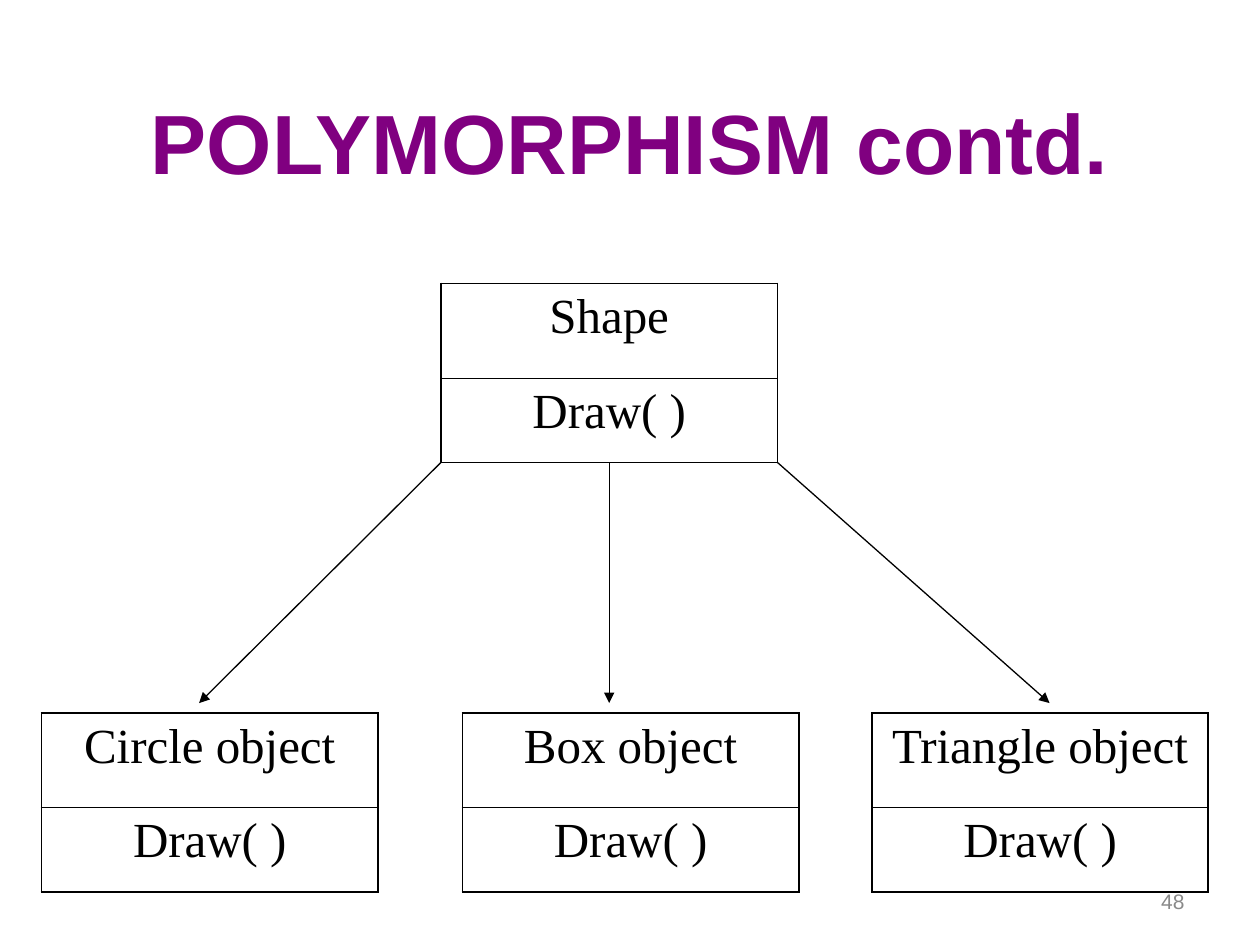
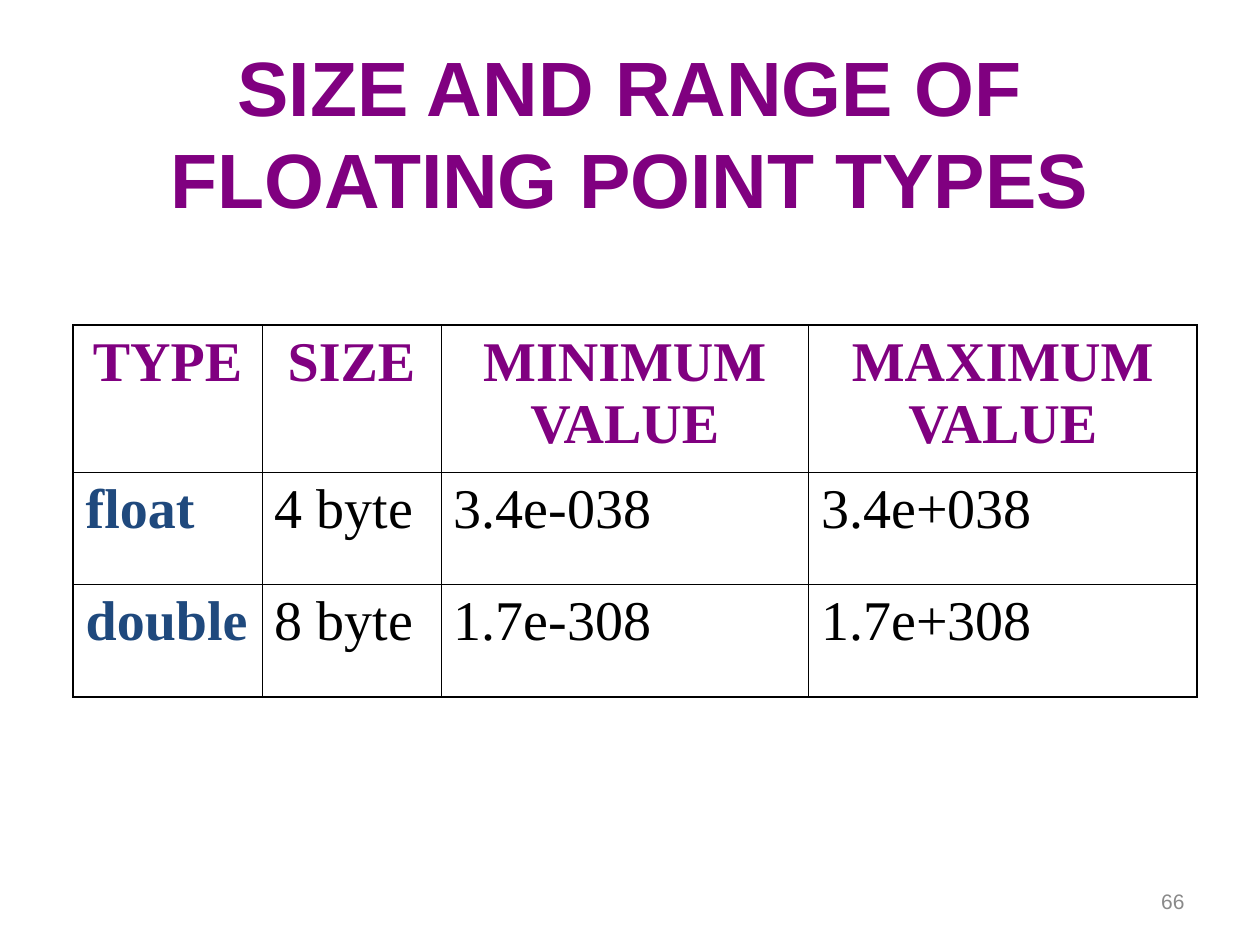
from lxml import etree
from pptx import Presentation
from pptx.dml.color import RGBColor
from pptx.enum.shapes import MSO_CONNECTOR
from pptx.enum.text import MSO_ANCHOR, MSO_AUTO_SIZE, PP_ALIGN
from pptx.oxml.ns import qn
from pptx.util import Inches, Pt

LEFT, CENTER, RIGHT = PP_ALIGN.LEFT, PP_ALIGN.CENTER, PP_ALIGN.RIGHT
MIDDLE = MSO_ANCHOR.MIDDLE
STRAIGHT = MSO_CONNECTOR.STRAIGHT
NO_AUTOFIT = MSO_AUTO_SIZE.NONE

COLORS = {"title": "800080", "text": "000000", "type": "1F497D",
          "number": "898989", "line": "000000"}
SANS, SERIF = "Arial", "Times New Roman"
OUTER_BORDER, INNER_BORDER = 1.08, 0.45
TITLE_ONLY = 5


def write(frame, text, font, size, color, align, bold=False):
    para = frame.paragraphs[0]
    para.alignment = align
    span = para.add_run()
    span.text = text
    span.font.name = font
    span.font.size = Pt(size)
    span.font.bold = bold
    span.font.color.rgb = RGBColor.from_string(COLORS[color])


def add_grid(page, left, top, widths, heights, rows, size, styles):
    holder = page.shapes.add_table(
        len(heights), len(widths), Inches(left), Inches(top),
        Inches(sum(widths)), Inches(sum(heights)))
    table = holder.table
    table.first_row = table.horz_banding = False
    for column, width in zip(table.columns, widths):
        column.width = Inches(width)
    for row, height in zip(table.rows, heights):
        row.height = Inches(height)
    last_row, last_column = len(heights) - 1, len(widths) - 1
    for r, texts in enumerate(rows):
        for c, text in enumerate(texts):
            cell = table.cell(r, c)
            color, align, bold = styles[r][c]
            write(cell.text_frame, text, SERIF, size, color, align, bold)
            properties = cell._tc.get_or_add_tcPr()
            edges = {"lnL": c == 0, "lnR": c == last_column,
                     "lnT": r == 0, "lnB": r == last_row}
            for edge, is_outer in edges.items():
                weight = Pt(OUTER_BORDER if is_outer else INNER_BORDER)
                border = etree.SubElement(properties, qn(f"a:{edge}"), w=str(weight))
                fill = etree.SubElement(border, qn("a:solidFill"))
                etree.SubElement(fill, qn("a:srgbClr"), val=COLORS["line"])
            cell.fill.background()
    return holder


deck = Presentation()
deck.slide_width, deck.slide_height = Inches(10), Inches(7.5)

pages = []
for heading, size, top, height, number in [
    ("POLYMORPHISM contd.", 48, 0.58, 1.08, "48"),
    ("SIZE AND RANGE OF FLOATING POINT TYPES", 44, 0.42, 1.25, "66"),
]:
    page = deck.slides.add_slide(deck.slide_layouts[TITLE_ONLY])
    title = page.shapes.title
    title.left, title.top = Inches(0.75), Inches(top)
    title.width, title.height = Inches(8.5), Inches(height)
    number_box = page.shapes.add_textbox(
        Inches(7.17), Inches(6.95), Inches(2.33), Inches(0.4))
    for box in (title, number_box):
        box.text_frame.word_wrap = True
        box.text_frame.auto_size = NO_AUTOFIT
        box.text_frame.vertical_anchor = MIDDLE
    write(title.text_frame, heading, SANS, size, "title", CENTER, True)
    write(number_box.text_frame, number, SANS, 12, "number", RIGHT)
    pages.append(page)

class_page, type_page = pages

class_width, class_rows = 2.67, [0.75, 0.67]
parent_left, parent_top, child_top = 3.5, 2.25, 5.66
class_tables = {}
for name, left, top in [
    ("Shape", parent_left, parent_top),
    ("Triangle object", 6.92, child_top),
    ("Box object", 3.67, child_top),
    ("Circle object", 0.33, child_top),
]:
    class_tables[name] = add_grid(
        class_page, left, top, [class_width], class_rows,
        [[name], ["Draw( )"]], 28, [[("text", CENTER, False)]] * 2)

parent_bottom = parent_top + sum(class_rows)
parent_middle = parent_left + class_width / 2
arrow_end = 5.58
for start, end in [(parent_middle, parent_middle), (parent_left, 1.58),
                   (parent_left + class_width, 8.33)]:
    arrow = class_page.shapes.add_connector(
        STRAIGHT, Inches(start), Inches(parent_bottom), Inches(end), Inches(arrow_end))
    if start == parent_middle:
        arrow.begin_connect(class_tables["Shape"], 2)
    arrow.line.width = Pt(0.75)
    arrow.line.color.rgb = RGBColor.from_string(COLORS["line"])
    etree.SubElement(arrow.line._get_or_add_ln(), qn("a:tailEnd"), type="triangle")
    etree.SubElement(arrow._element.spPr, qn("a:effectLst"))

header_style = [("title", CENTER, True)] * 4
value_style = [("type", LEFT, True)] + [("text", LEFT, False)] * 3
add_grid(
    type_page, 0.58, 2.58, [1.5, 1.42, 2.92, 3.08], [1.17, 0.89, 0.89],
    [["TYPE", "SIZE", "MINIMUM VALUE", "MAXIMUM VALUE"],
     ["float", "4 byte", "3.4e-038", "3.4e+038"],
     ["double", "8 byte", "1.7e-308", "1.7e+308"]],
    32, [header_style, value_style, value_style])

deck.save("out.pptx")
